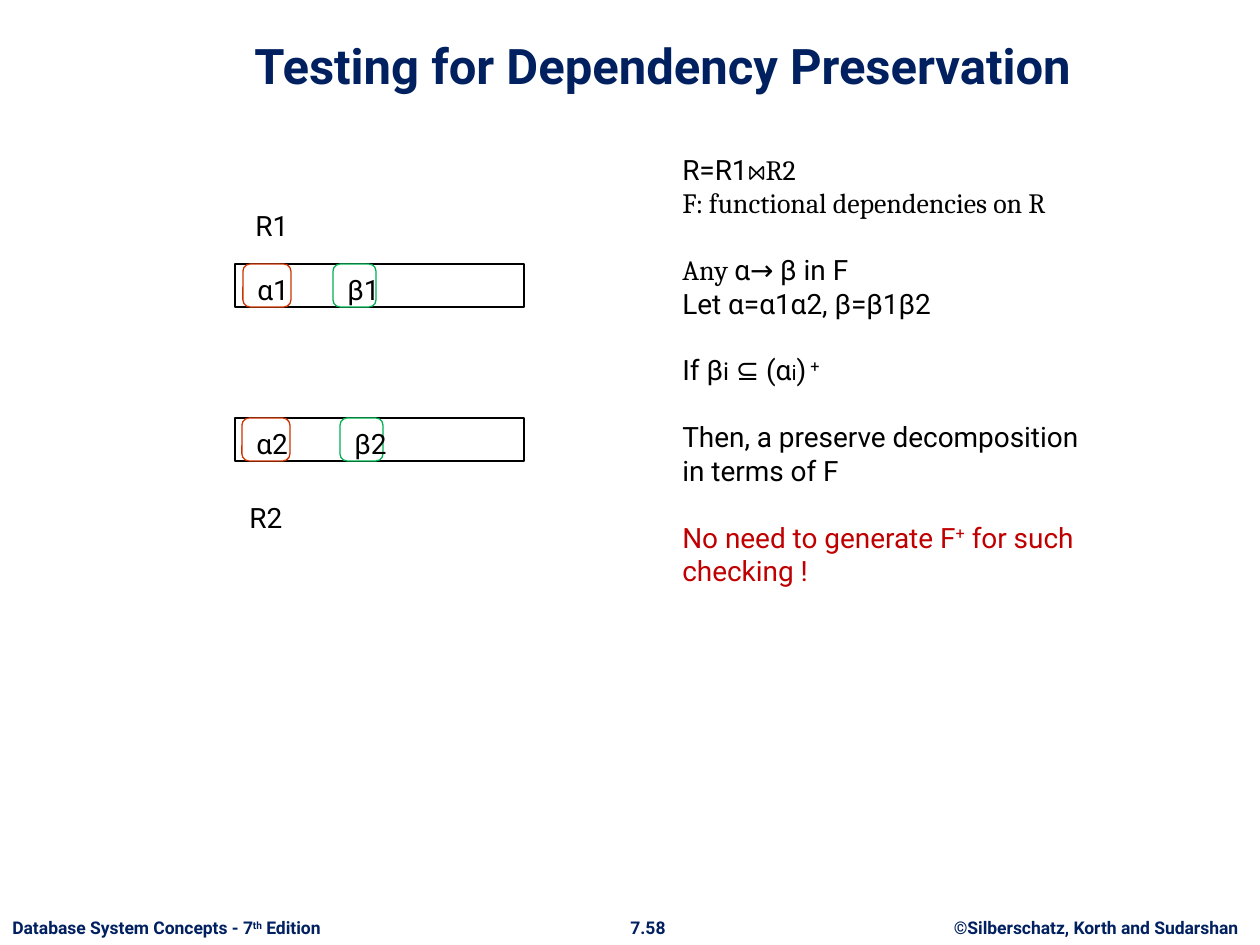
import pptx
import pptx.dml.color
import pptx.enum.shapes
import pptx.enum.text
import pptx.util

SCALE = 914400 // 126
COLORS = {
    "navy": "002060",
    "black": "000000",
    "white": "FFFFFF",
    "orange": "CC3300",
    "green": "00B050",
    "red": "C00000",
}
SHAPES = pptx.enum.shapes.MSO_SHAPE
ALIGN = pptx.enum.text.PP_ALIGN
ANCHOR = pptx.enum.text.MSO_ANCHOR
BODY_SIZE = 16
GROUP_GAP = 19
SUPERSCRIPT = "30000"


def px(value):
    return pptx.util.Emu(value * SCALE)


def rgb(name):
    return pptx.dml.color.RGBColor.from_string(COLORS[name])


def add_span(para, text, size=BODY_SIZE, color="black", font="Roboto", bold=False, raised=False):
    span = para.add_run()
    span.text = text
    span.font.size = pptx.util.Pt(size)
    span.font.name = font
    span.font.bold = bold
    span.font.color.rgb = rgb(color)
    if raised:
        span.font._element.set("baseline", SUPERSCRIPT)


def add_text_box(page, bounds, wrap=True, align=ALIGN.LEFT, anchor=ANCHOR.TOP):
    box = page.shapes.add_textbox(*map(px, bounds))
    frame = box.text_frame
    frame.word_wrap = wrap
    frame.vertical_anchor = anchor
    frame.paragraphs[0].alignment = align
    return frame


def add_outline(page, kind, bounds, color):
    shape = page.shapes.add_shape(kind, *map(px, bounds))
    shape.shadow.inherit = False
    shape.fill.solid()
    shape.fill.fore_color.rgb = rgb("white")
    shape.line.color.rgb = rgb(color)
    shape.line.width = pptx.util.Pt(0.75)
    return shape


def add_attribute(page, text, left, top, width, color):
    shape = add_outline(page, SHAPES.ROUNDED_RECTANGLE, (left, top, width, 43), color)
    frame = shape.text_frame
    frame.word_wrap = False
    frame.vertical_anchor = ANCHOR.TOP
    para = frame.paragraphs[0]
    para.alignment = ALIGN.LEFT
    add_span(para, text)


def add_relation(page, index, top, alpha_left, beta_left, label_left, label_top):
    add_outline(page, SHAPES.RECTANGLE, (235, top, 289, 43), "black")
    add_attribute(page, f"α{index}", alpha_left, top, 48, "orange")
    add_attribute(page, f"β{index}", beta_left, top, 43, "green")
    label = add_text_box(page, (label_left, label_top, 97, 47))
    add_span(label.paragraphs[0], f"R{index}")


def add_title(page):
    title = add_text_box(page, (106, 16, 1113, 85), align=ALIGN.CENTER, anchor=ANCHOR.BOTTOM)
    add_span(title.paragraphs[0], "Testing for Dependency Preservation", 28, "navy", bold=True)


def add_footer(page, left, width, align, *parts):
    frame = add_text_box(page, (left, 911, width, 34), wrap=False, align=align)
    for text, raised in parts:
        add_span(frame.paragraphs[0], text, 10, "navy", bold=True, raised=raised)


def add_explanation(page):
    serif = {"font": "Cambria"}
    raised = {"raised": True}
    red = {"color": "red"}
    groups = [
        [
            [("R=R1", {}), ("⋈R2", serif)],
            [("F: functional dependencies on R", serif)],
        ],
        [
            [("Any ", serif), ("α→ β in F", {})],
            [("Let α=α1α2, β=β1β2", {})],
        ],
        [[
            ("If β", {}), ("i", {"size": 14}), (" ⊆ (α", {}),
            ("i", {"size": 12}), (")", {}), (" +", raised),
        ]],
        [[("Then, a preserve decomposition in terms of F", {})]],
        [[
            ("No need to generate F", red), ("+", red | raised),
            (" for such checking !", red),
        ]],
    ]
    frame = add_text_box(page, (670, 146, 431, 522))
    para = frame.paragraphs[0]
    for group_index, group in enumerate(groups):
        for line_index, line in enumerate(group):
            if group_index or line_index:
                para = frame.add_paragraph()
            if group_index and not line_index:
                para.space_before = pptx.util.Pt(GROUP_GAP)
            for text, style in line:
                add_span(para, text, **style)


def main():
    deck = pptx.Presentation()
    deck.slide_width, deck.slide_height = px(1260), px(945)
    page = deck.slides.add_slide(deck.slide_layouts[6])
    add_footer(page, 932, 328, ALIGN.CENTER, ("©Silberschatz, Korth and Sudarshan", False))
    add_footer(page, 617, 62, ALIGN.CENTER, ("7.58", False))
    add_footer(
        page, 0, 354, ALIGN.LEFT,
        ("Database System Concepts - 7", False), ("th", True), (" Edition", False),
    )
    add_title(page)
    add_relation(page, 1, 264, 243, 333, 243, 202)
    add_relation(page, 2, 418, 242, 340, 237, 494)
    add_explanation(page)
    deck.save("out.pptx")


if __name__ == "__main__":
    main()
